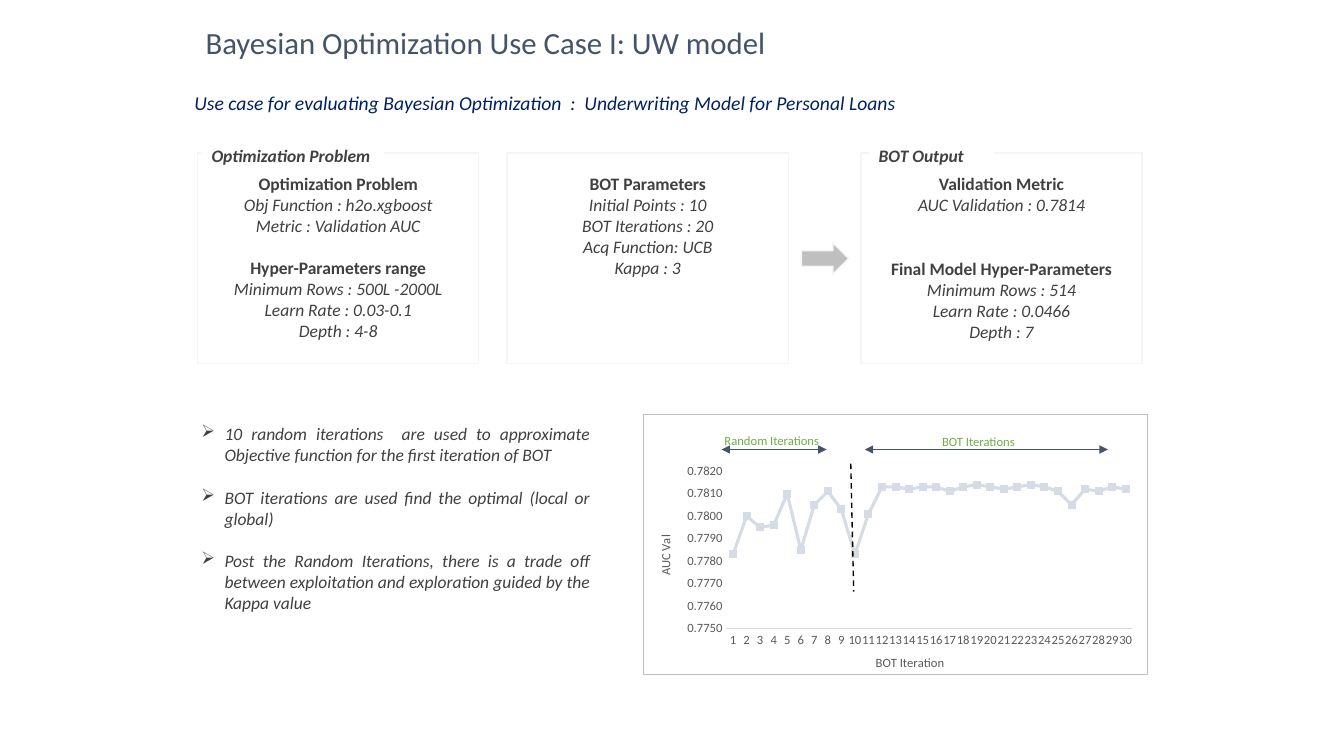
from dataclasses import dataclass

from lxml import etree
from pptx import Presentation
from pptx.chart.data import CategoryChartData
from pptx.dml.color import RGBColor
from pptx.enum.chart import XL_CHART_TYPE, XL_TICK_MARK
from pptx.enum.dml import MSO_LINE
from pptx.enum.shapes import MSO_CONNECTOR, MSO_SHAPE
from pptx.enum.text import MSO_ANCHOR, PP_ALIGN
from pptx.oxml import parse_xml
from pptx.oxml.ns import nsdecls, qn
from pptx.util import Pt

LINE_CHART = XL_CHART_TYPE.LINE
NO_TICK = XL_TICK_MARK.NONE
DASH = MSO_LINE.DASH
STRAIGHT = MSO_CONNECTOR.STRAIGHT
RECTANGLE, RIGHT_ARROW = MSO_SHAPE.RECTANGLE, MSO_SHAPE.RIGHT_ARROW
TOP = MSO_ANCHOR.TOP
LEFT, CENTER, JUSTIFY = PP_ALIGN.LEFT, PP_ALIGN.CENTER, PP_ALIGN.JUSTIFY


@dataclass(frozen=True)
class Theme:
    font: str = "Calibri"
    slate: str = "44546A"
    navy: str = "002060"
    body: str = "404040"
    green: str = "70AD47"
    axis: str = "595959"
    axis_line: str = "D9D9D9"
    series: str = "D6DCE5"
    frame: str = "BFBFBF"
    pale: str = "F5F5F5"
    white: str = "FFFFFF"
    black: str = "000000"
    title_size: float = 22
    subtitle_size: float = 14
    body_size: float = 12.5
    chart_size: float = 9


@dataclass(frozen=True)
class Line:
    text: str
    bold: bool = False
    italic: bool = True
    space_before: float = 0


@dataclass(frozen=True)
class Card:
    left: float
    lines: tuple[Line, ...]


@dataclass(frozen=True)
class Label:
    text: str
    left: float
    width: float


@dataclass(frozen=True)
class Phase:
    label: Label
    top: float
    arrow_start: float
    arrow_end: float


THEME = Theme()
ROW = 15.25
CARD_TOP, CARD_WIDTH, CARD_HEIGHT = 109.4, 200.9, 150.5
ARROW_Y = 321.1


def heading(text: str, space_before: float = 0) -> Line:
    return Line(text, bold=True, italic=False, space_before=space_before)


CARDS = (
    Card(141.1, (
        heading("Optimization Problem"), Line("Obj Function : h2o.xgboost"),
        Line("Metric : Validation AUC"), heading("Hyper-Parameters range", ROW),
        Line("Minimum Rows : 500L -2000L"), Line("Learn Rate : 0.03-0.1"), Line("Depth : 4-8"))),
    Card(362.2, (
        heading("BOT Parameters"), Line("Initial Points : 10"), Line("BOT Iterations : 20"),
        Line("Acq Function: UCB"), Line("Kappa : 3"))),
    Card(614.9, (
        heading("Validation Metric"), Line("AUC Validation : 0.7814"),
        heading("Final Model Hyper-Parameters", 2 * ROW), Line("Minimum Rows : 514"),
        Line("Learn Rate : 0.0466"), Line("Depth : 7"))),
)
CARD_LABELS = (Label("Optimization Problem", 144, 130.3), Label("BOT Output", 620.6, 89.3))
BULLETS = (
    Line("10 random iterations  are used to approximate Objective function for the first "
         "iteration of BOT"),
    Line("BOT iterations are used find the optimal (local or global)", space_before=ROW),
    Line("Post the Random Iterations, there is a trade off between exploitation and "
         "exploration guided by the Kappa value", space_before=ROW),
)
PHASES = (
    Phase(Label("BOT Iterations", 635.8, 126), 306.7, 617.8, 791.3),
    Phase(Label("Random Iterations", 488.2, 126), 306, 515.5, 590.4),
)
AUC_VALUES = (
    0.7783, 0.78, 0.7795, 0.7796, 0.781, 0.7785, 0.7805, 0.7811, 0.7803, 0.7783,
    0.7801, 0.7813, 0.7813, 0.7812, 0.7813, 0.7813, 0.7811, 0.7813, 0.7814, 0.7813,
    0.7812, 0.7813, 0.7814, 0.7813, 0.7811, 0.7805, 0.7812, 0.7811, 0.7813, 0.7812)


def rgb(value: str) -> RGBColor:
    return RGBColor.from_string(value)


def set_font(font, size: float, color: str, bold: bool = False, italic: bool = False) -> None:
    font.name, font.size, font.bold, font.italic = THEME.font, Pt(size), bold, italic
    font.color.rgb = rgb(color)


def write_text(shape, lines: tuple[Line, ...], *, size: float = THEME.body_size,
               color: str = THEME.body, align=LEFT, bullet: str = "", wrap: bool = True,
               inset: tuple[float, float] = (7.2, 3.6)) -> None:
    frame = shape.text_frame
    frame.word_wrap, frame.vertical_anchor = wrap, TOP
    frame.margin_left = frame.margin_right = Pt(inset[0])
    frame.margin_top = frame.margin_bottom = Pt(inset[1])
    for index, line in enumerate(lines):
        para = frame.add_paragraph() if index else frame.paragraphs[0]
        para.alignment, para.space_before = align, Pt(line.space_before)
        span = para.add_run()
        span.text = line.text
        set_font(span.font, size, color, line.bold, line.italic)
        if bullet:
            properties = para._p.get_or_add_pPr()
            properties.set("marL", str(Pt(16.5)))
            properties.set("indent", str(-Pt(16.5)))
            etree.SubElement(properties, qn("a:buChar")).set("char", bullet)


def add_text(page, lines: tuple[Line, ...], left: float, top: float, width: float,
             height: float, **style) -> None:
    box = page.shapes.add_textbox(Pt(left), Pt(top), Pt(width), Pt(height))
    write_text(box, lines, **style)


def add_box(page, left: float, top: float, width: float, height: float, *,
            kind=RECTANGLE, fill: str = "", outline: str = ""):
    box = page.shapes.add_shape(kind, Pt(left), Pt(top), Pt(width), Pt(height))
    box.shadow.inherit = False
    if fill:
        box.fill.solid()
        box.fill.fore_color.rgb = rgb(fill)
    else:
        box.fill.background()
    if outline:
        box.line.color.rgb, box.line.width = rgb(outline), Pt(1)
    else:
        box.line.fill.background()
    return box


def add_line(page, start: tuple[float, float], end: tuple[float, float], color: str,
             *, dashed: bool = False, arrows: bool = False) -> None:
    line = page.shapes.add_connector(STRAIGHT, *map(Pt, start + end))
    line.line.color.rgb, line.line.width = rgb(color), Pt(1)
    if dashed:
        line.line.dash_style = DASH
    if arrows:
        for tag in ("a:headEnd", "a:tailEnd"):
            etree.SubElement(line.line._get_or_add_ln(), qn(tag)).set("type", "triangle")
    etree.SubElement(line._element.spPr, qn("a:effectLst"))


def style_axis(axis, title: str) -> None:
    axis.has_major_gridlines = False
    axis.major_tick_mark = axis.minor_tick_mark = NO_TICK
    set_font(axis.tick_labels.font, THEME.chart_size, THEME.axis)
    frame = axis.axis_title.text_frame
    frame.text = title
    set_font(frame.paragraphs[0].runs[0].font, THEME.chart_size, THEME.axis)


def add_auc_chart(page) -> None:
    data = CategoryChartData(number_format="0.0000")
    data.categories = [str(number + 1) for number in range(len(AUC_VALUES))]
    data.add_series("Series 1", AUC_VALUES)
    chart = page.shapes.add_chart(
        LINE_CHART, Pt(459.4), Pt(295.9), Pt(360.7), Pt(186.5), data).chart
    chart.has_legend = chart.has_title = False
    set_font(chart.font, THEME.chart_size, THEME.black)
    category, value = chart.category_axis, chart.value_axis
    style_axis(category, "BOT Iteration")
    style_axis(value, "AUC Val")
    category.format.line.color.rgb, category.format.line.width = rgb(THEME.axis_line), Pt(0.75)
    value.format.line.fill.background()
    value.minimum_scale, value.maximum_scale, value.major_unit = 0.775, 0.782, 0.001
    value.tick_labels.number_format = "0.0000"
    value.tick_labels.number_format_is_linked = False
    value.axis_title.text_frame._txBody.bodyPr.set("rot", "-5400000")
    chart.plots[0].vary_by_categories = False
    series = chart.plots[0].series[0]
    series.smooth = False
    series.marker.style = None
    series.format.line.color.rgb, series.format.line.width = rgb(THEME.series), Pt(2.25)
    category._element.find(qn("c:lblOffset")).addnext(
        parse_xml(f'<c:tickLblSkip {nsdecls("c")} val="1"/>'))
    area = chart._chartSpace.chart.plotArea
    for layout in area.findall(qn("c:layout")):
        area.remove(layout)
    parts = (("layoutTarget", "inner"), ("xMode", "edge"), ("yMode", "edge"),
             ("x", 0.164), ("y", 0.217), ("w", 0.806), ("h", 0.606))
    manual = "".join(f'<c:{tag} val="{setting}"/>' for tag, setting in parts)
    area.insert(0, parse_xml(
        f'<c:layout {nsdecls("c")}><c:manualLayout>{manual}</c:manualLayout></c:layout>'))
    chart._chartSpace.chart.addnext(parse_xml(
        f'<c:spPr {nsdecls("c", "a")}><a:noFill/><a:ln w="{Pt(0.75)}"><a:solidFill>'
        f'<a:srgbClr val="{THEME.frame}"/></a:solidFill></a:ln></c:spPr>'))


def main() -> None:
    """Build the Bayesian optimization use case slide."""
    deck = Presentation()
    deck.slide_width, deck.slide_height = Pt(960), Pt(540)
    page = deck.slides.add_slide(deck.slide_layouts[6])
    add_text(page, (Line("Bayesian Optimization Use Case I: UW model", italic=False),),
             146.9, 17.3, 653, 28.8, size=THEME.title_size, color=THEME.slate, inset=(0, 0))
    add_text(page, (Line("Use case for evaluating Bayesian Optimization  :  "
                         "Underwriting Model for Personal Loans"),),
             131.8, 61.2, 712.8, 24.5, size=THEME.subtitle_size, color=THEME.navy)
    add_text(page, BULLETS, 136.8, 298.8, 291.6, 189.4, align=JUSTIFY, bullet="➢")
    add_auc_chart(page)
    add_line(page, (607.7, 331.2), (609.8, 422.6), THEME.black, dashed=True)
    for phase in PHASES:
        label = phase.label
        add_text(page, (Line(label.text, italic=False),), label.left, phase.top, label.width, 18,
                 size=THEME.chart_size, color=THEME.green, align=CENTER)
        add_line(page, (phase.arrow_start, ARROW_Y), (phase.arrow_end, ARROW_Y),
                 THEME.slate, arrows=True)
    for card in CARDS:
        box = add_box(page, card.left, CARD_TOP, CARD_WIDTH, CARD_HEIGHT, outline=THEME.pale)
        write_text(box, card.lines, align=CENTER, wrap=False, inset=(7.2, 14.25))
    for label in CARD_LABELS:
        box = add_box(page, label.left, 100.1, label.width, 22.3, fill=THEME.white)
        write_text(box, (Line(label.text, bold=True),))
    add_box(page, 572.4, 173.5, 33.8, 22.3, kind=RIGHT_ARROW, fill=THEME.frame, outline=THEME.pale)
    deck.save("out.pptx")


if __name__ == "__main__":
    main()
